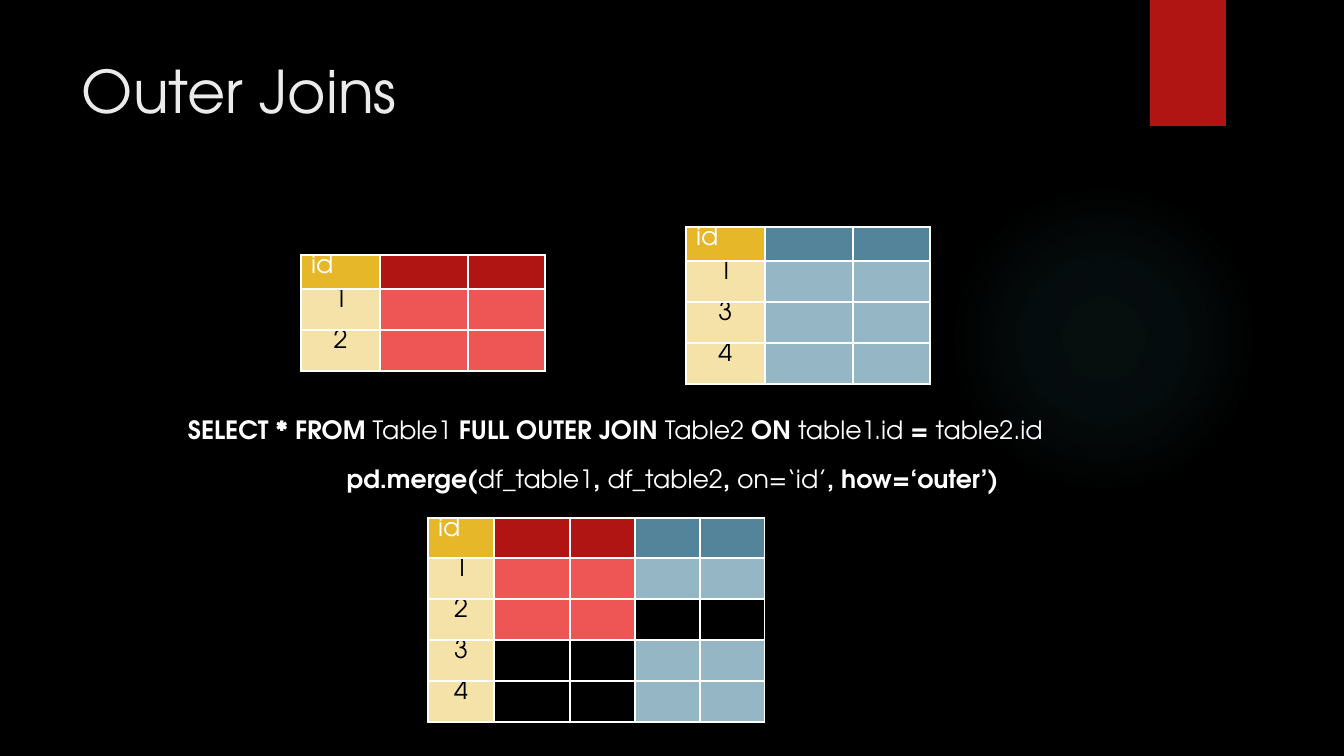
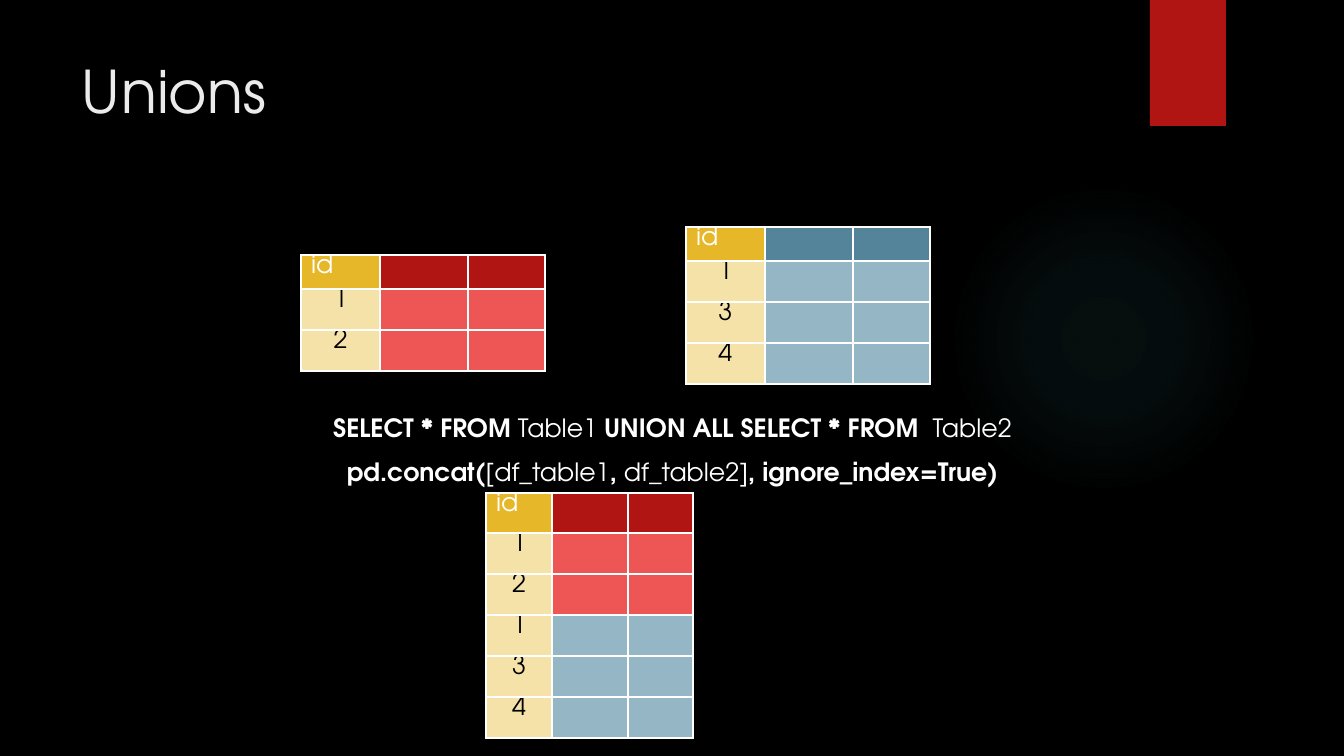
from lxml import etree
from pptx import Presentation
from pptx.dml.color import RGBColor
from pptx.enum.shapes import MSO_SHAPE as Shape
from pptx.enum.text import PP_ALIGN as Align
from pptx.oxml import parse_xml
from pptx.oxml.ns import qn
from pptx.util import Emu, Pt

FONT = "TeX Gyre Adventor"
BLACK = RGBColor(0x00, 0x00, 0x00)
WHITE = RGBColor(0xFF, 0xFF, 0xFF)
TITLE_GREY = RGBColor(0xEB, 0xEB, 0xEB)
RED = RGBColor(0xB0, 0x15, 0x13)
LIGHT_RED = RGBColor(0xED, 0x56, 0x54)
BLUE = RGBColor(0x54, 0x84, 0x9A)
LIGHT_BLUE = RGBColor(0x95, 0xB6, 0xC5)
GOLD = RGBColor(0xE6, 0xB7, 0x29)
LIGHT_GOLD = RGBColor(0xF5, 0xE2, 0xA9)
GLOW = RGBColor(0x50, 0xB9, 0xC1)
GLOW_STOPS = [(0, 7), (36, 6), (69, 0)]  # position %, opacity %

# One letter per data column: R red, B blue, "." no value
HEADER_FILLS = {"R": RED, "B": BLUE}
BODY_FILLS = {"R": LIGHT_RED, "B": LIGHT_BLUE}

SOURCE_COLUMNS = [79, 88, 77]
RESULT_COLUMNS = [66, 76, 65, 65, 65]
ROW_HEIGHT = 41

SOURCE_TABLES = [
    dict(at=(301, 255), columns=SOURCE_COLUMNS, header_height=34, header="RR",
         rows=[("1", "RR"), ("2", "RR")]),
    dict(at=(686, 227), columns=SOURCE_COLUMNS, header_height=34, header="BB",
         rows=[("1", "BB"), ("3", "BB"), ("4", "BB")]),
]

# Runs of a code line alternate bold and regular, starting with bold
SLIDES = [
    dict(
        title="Outer Joins",
        code=[
            ((178, 409), Align.LEFT,
             ["SELECT * FROM", " Table1 ", "FULL OUTER JOIN ", "Table2 ",
              "ON ", "table1.id ", "= ", "table2.id"]),
            ((208, 458), Align.CENTER,
             ["pd.merge(", "df_table1", ", ", "df_table2", ", ", "on=‘id’",
              ", how=‘outer’)"]),
        ],
        result=dict(at=(428, 518), columns=RESULT_COLUMNS, header_height=40,
                    header="RRBB",
                    rows=[("1", "RRBB"), ("2", "RR.."),
                          ("3", "..BB"), ("4", "..BB")]),
    ),
    dict(
        title="Unions",
        code=[
            ((208, 407), Align.CENTER,
             ["SELECT * FROM", " Table1 ", "UNION ALL SELECT * FROM  ",
              "Table2"]),
            ((208, 451), Align.CENTER,
             ["pd.concat(", "[df_table1", ", ", "df_table2]",
              ", ignore_index=True)"]),
        ],
        result=dict(at=(486, 493), columns=RESULT_COLUMNS[:3],
                    header_height=40, header="RR",
                    rows=[("1", "RR"), ("2", "RR"),
                          ("1", "BB"), ("3", "BB"), ("4", "BB")]),
    ),
]


def px(length):
    return Emu(round(length * 914400 / 100.8))


def write(frame, text, size=18, color=WHITE, align=Align.LEFT):
    """Fill a frame with a string, or with runs alternating bold and regular."""
    para = frame.paragraphs[0]
    para.alignment = align
    runs = [text] if isinstance(text, str) else text
    for index, words in enumerate(runs):
        span = para.add_run()
        span.text = words
        span.font.name = FONT
        span.font.size = Pt(size)
        span.font.color.rgb = color
        span.font.bold = runs is text and index % 2 == 0


def add_text(page, at, size_px, text, **text_format):
    box = page.shapes.add_textbox(*map(px, at + size_px))
    box.text_frame.word_wrap = True
    write(box.text_frame, text, **text_format)


def add_plain_shape(page, kind, *bounds):
    shape = page.shapes.add_shape(kind, *map(px, bounds))
    shape.shadow.inherit = False
    shape.line.fill.background()
    return shape


def add_backdrop(page):
    glow = add_plain_shape(page, Shape.OVAL, 949, 184, 310, 310)
    glow.fill.gradient()
    gradient = glow._element.spPr.find(qn("a:gradFill"))
    stops = "".join(
        f'<a:gs pos="{position * 1000}"><a:srgbClr val="{GLOW}">'
        f'<a:alpha val="{opacity * 1000}"/></a:srgbClr></a:gs>'
        for position, opacity in GLOW_STOPS)
    gradient.getparent().replace(gradient, parse_xml(
        '<a:gradFill xmlns:a="http://schemas.openxmlformats.org/drawingml/2006/main">'
        f'<a:gsLst>{stops}</a:gsLst><a:path path="circle">'
        '<a:fillToRect l="50000" t="50000" r="50000" b="50000"/>'
        '</a:path></a:gradFill>'))

    ribbon = add_plain_shape(page, Shape.RECTANGLE, 1150, 0, 76, 126)
    ribbon.fill.solid()
    ribbon.fill.fore_color.rgb = RED


def style_cell(cell, fill):
    """Set fill, white borders and tight vertical margins."""
    cell.margin_top = cell.margin_bottom = 0
    if fill is None:
        cell.fill.background()
    else:
        cell.fill.solid()
        cell.fill.fore_color.rgb = fill
    properties = cell._tc.get_or_add_tcPr()
    for index, side in enumerate(("lnL", "lnR", "lnT", "lnB")):
        border = etree.Element(qn(f"a:{side}"), w=str(Pt(1)))
        line_fill = etree.SubElement(border, qn("a:solidFill"))
        etree.SubElement(line_fill, qn("a:srgbClr"), val=str(WHITE))
        properties.insert(index, border)


def add_data_table(page, at, columns, header_height, header, rows):
    heights = [header_height] + [ROW_HEIGHT] * len(rows)
    bounds = (*at, sum(columns), sum(heights))
    table = page.shapes.add_table(
        len(heights), len(columns), *map(px, bounds)).table
    table.first_row = table.horz_banding = False
    for column, width in zip(table.columns, columns):
        column.width = px(width)
    for row, height in zip(table.rows, heights):
        row.height = px(height)

    for row_index, (label, codes) in enumerate([("id", header)] + rows):
        is_header = row_index == 0
        palette = HEADER_FILLS if is_header else BODY_FILLS
        fills = [GOLD if is_header else LIGHT_GOLD]
        fills += [palette.get(code) for code in codes]
        for column_index, fill in enumerate(fills):
            style_cell(table.cell(row_index, column_index), fill)
        write(table.cell(row_index, 0).text_frame, label,
              color=WHITE if is_header else BLACK,
              align=Align.LEFT if is_header else Align.CENTER)


def main():
    deck = Presentation()
    deck.slide_width, deck.slide_height = px(1344), px(756)
    background = deck.slide_master.background.fill
    background.solid()
    background.fore_color.rgb = BLACK

    for content in SLIDES:
        page = deck.slides.add_slide(deck.slide_layouts[6])
        add_backdrop(page)
        add_text(page, (72, 50), (1037, 154), content["title"],
                 size=42, color=TITLE_GREY)
        for table in SOURCE_TABLES + [content["result"]]:
            add_data_table(page, **table)
        for at, align, runs in content["code"]:
            add_text(page, at, (929, 40), runs, align=align)

    deck.save("out.pptx")


if __name__ == "__main__":
    main()
